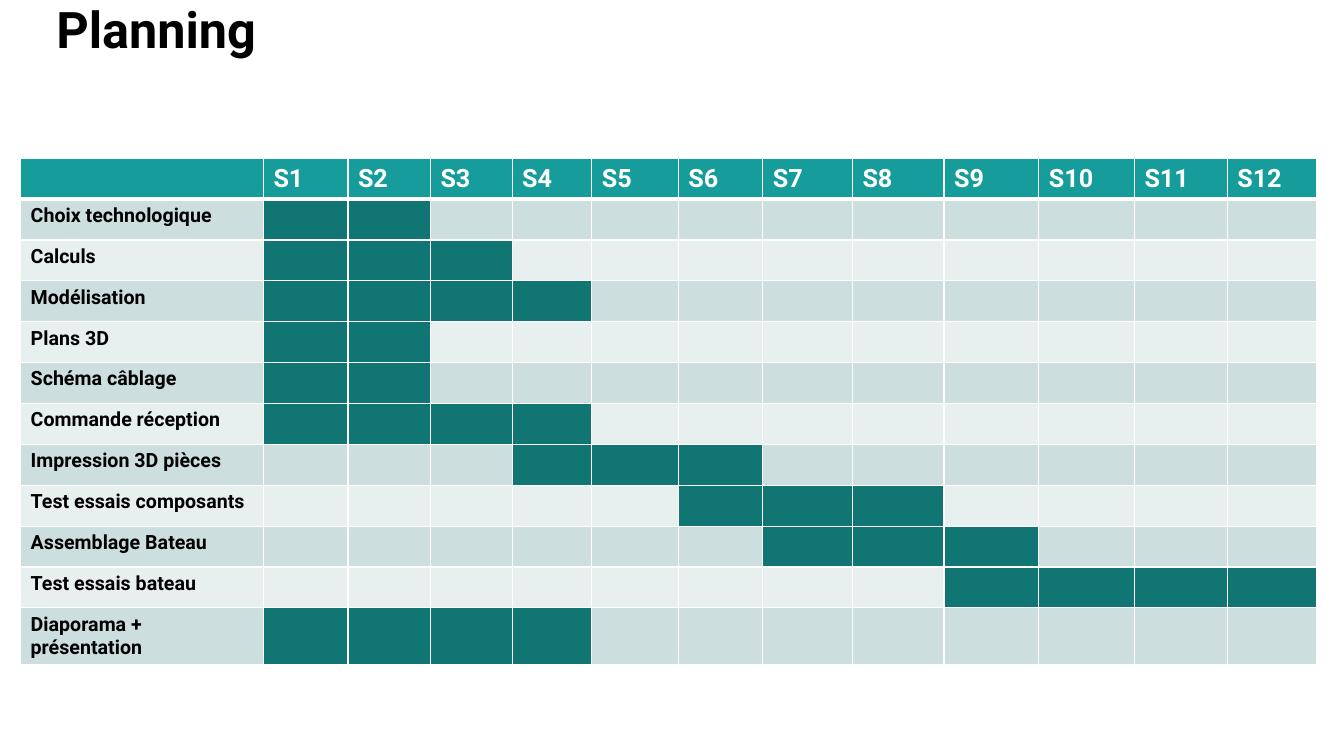
"""Build a project planning slide with a week-by-week chart."""
from lxml.etree import SubElement as Sub
from pptx import Presentation as Deck
from pptx.dml.color import RGBColor as Color
from pptx.enum.text import MSO_ANCHOR as Anchor
from pptx.oxml.ns import qn
from pptx.util import Cm, Pt

BLACK = Color(0x00, 0x00, 0x00)
WHITE = Color(0xFF, 0xFF, 0xFF)
HEAD = Color(0x16, 0x9C, 0x9A)
BUSY = Color(0x11, 0x75, 0x73)
BANDS = Color(0xCC, 0xDE, 0xDE), Color(0xE8, 0xEF, 0xEF)
FACE = "Roboto"

WIDTHS = [6.12, 2.13, 2.08, 2.06, 2.01, 2.18, 2.13, 2.26, 2.31, 2.39, 2.41, 2.34, 2.24]
HEIGHTS = [1.0] + [1.03] * 10 + [1.41]
TASKS = [
    ("Choix technologique", 1, 2),
    ("Calculs", 1, 3),
    ("Modélisation", 1, 4),
    ("Plans 3D", 1, 2),
    ("Schéma câblage", 1, 2),
    ("Commande réception", 1, 4),
    ("Impression 3D pièces", 4, 6),
    ("Test essais composants", 6, 8),
    ("Assemblage Bateau", 7, 9),
    ("Test essais bateau", 9, 12),
    ("Diaporama + présentation", 1, 4),
]


def style(para, size, color):
    """Set the bold slide font on a paragraph."""
    font = para.font
    font.name, font.size, font.bold = FACE, Pt(size), True
    font.color.rgb = color


def edge(cell, top, base):
    """Draw white cell borders, with top and base widths in points."""
    props = cell._tc.get_or_add_tcPr()
    for side, width in zip("LRTB", (1, 1, top, base)):
        line = Sub(props, qn(f"a:ln{side}"), w=str(Pt(width)))
        fill = Sub(line, qn("a:solidFill"))
        Sub(fill, qn("a:srgbClr"), val=str(WHITE))


def paint(cell, text, size, ink, fill, top=1, base=1):
    """Give a cell its text, borders and fill."""
    cell.text = text
    style(cell.text_frame.paragraphs[0], size, ink)
    edge(cell, top, base)
    cell.fill.solid()
    cell.fill.fore_color.rgb = fill


def add_title(slide, left, top, width, height):
    """Place the slide title in the given box."""
    frame = slide.shapes.add_textbox(left, top, width, height).text_frame
    frame.word_wrap = True
    frame.vertical_anchor = Anchor.TOP
    para = frame.paragraphs[0]
    para.text = "Planning"
    para.line_spacing = 0.9
    style(para, 36, BLACK)


def add_plan(slide, left, top, width, height):
    """Place the table of tasks and weeks in the given box."""
    table = slide.shapes.add_table(
        len(HEIGHTS), len(WIDTHS), left, top, width, height).table
    for col, size in zip(table.columns, WIDTHS):
        col.width = int(width * size / sum(WIDTHS))
    for row, size in zip(table.rows, HEIGHTS):
        row.height = int(height * size / sum(HEIGHTS))
    for week in range(len(WIDTHS)):
        paint(table.cell(0, week), f"S{week}" if week else "", 18, WHITE, HEAD, base=3)
    for row, (name, start, end) in enumerate(TASKS, 1):
        band = BANDS[(row - 1) % 2]
        for week in range(len(WIDTHS)):
            fill = BUSY if start <= week <= end else band
            paint(table.cell(row, week), "" if week else name, 14, BLACK, fill,
                  top=3 if row == 1 else 1)


def main():
    """Build and save the deck."""
    deck = Deck()
    deck.slide_width, deck.slide_height = Cm(33.87), Cm(19.05)
    slide = deck.slides.add_slide(deck.slide_layouts[6])
    add_title(slide, Cm(1.17), Cm(0), Cm(29.21), Cm(3.68))
    add_plan(slide, Cm(0.52), Cm(4), Cm(sum(WIDTHS)), Cm(sum(HEIGHTS)))
    deck.save("out.pptx")


if __name__ == "__main__":
    main()
